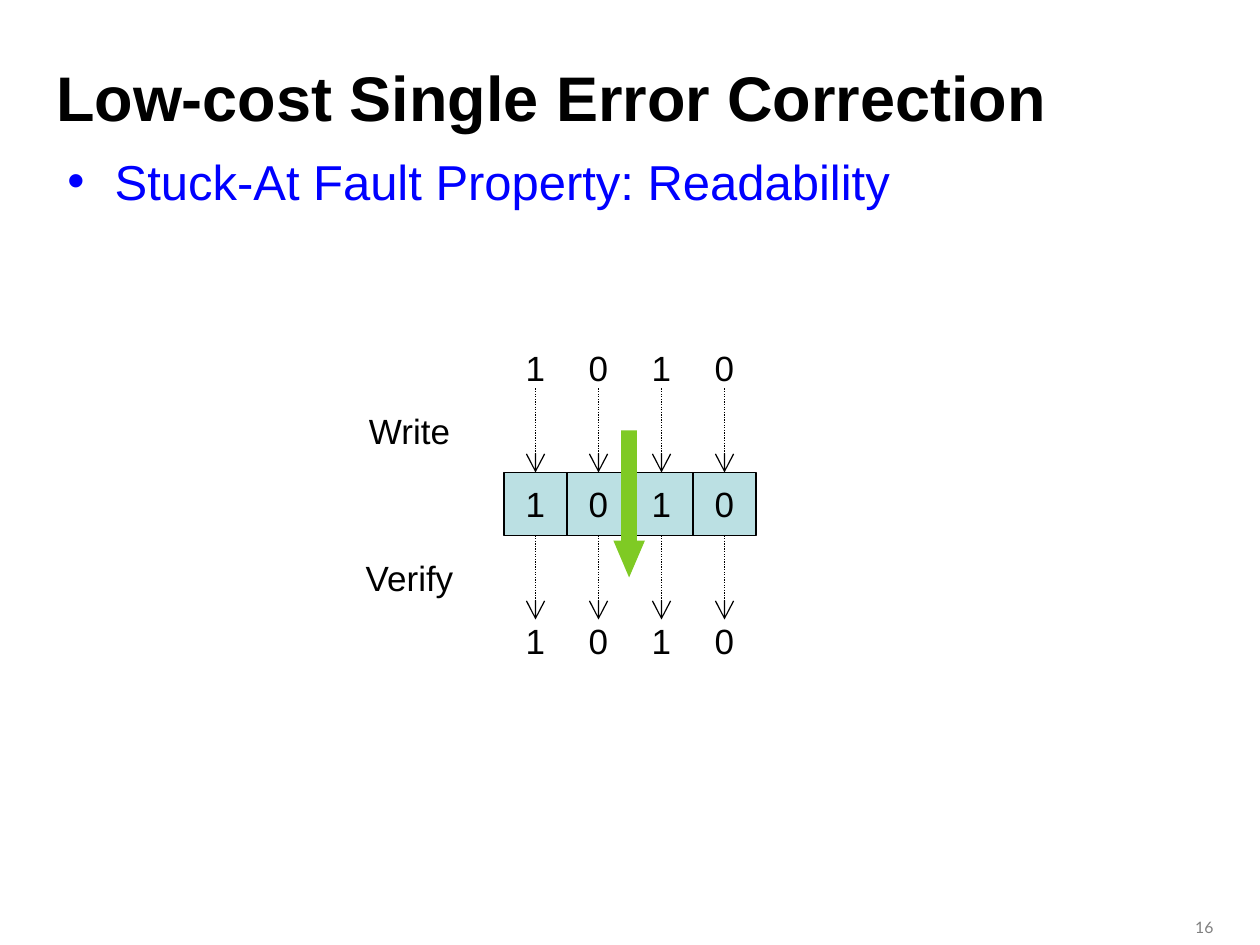
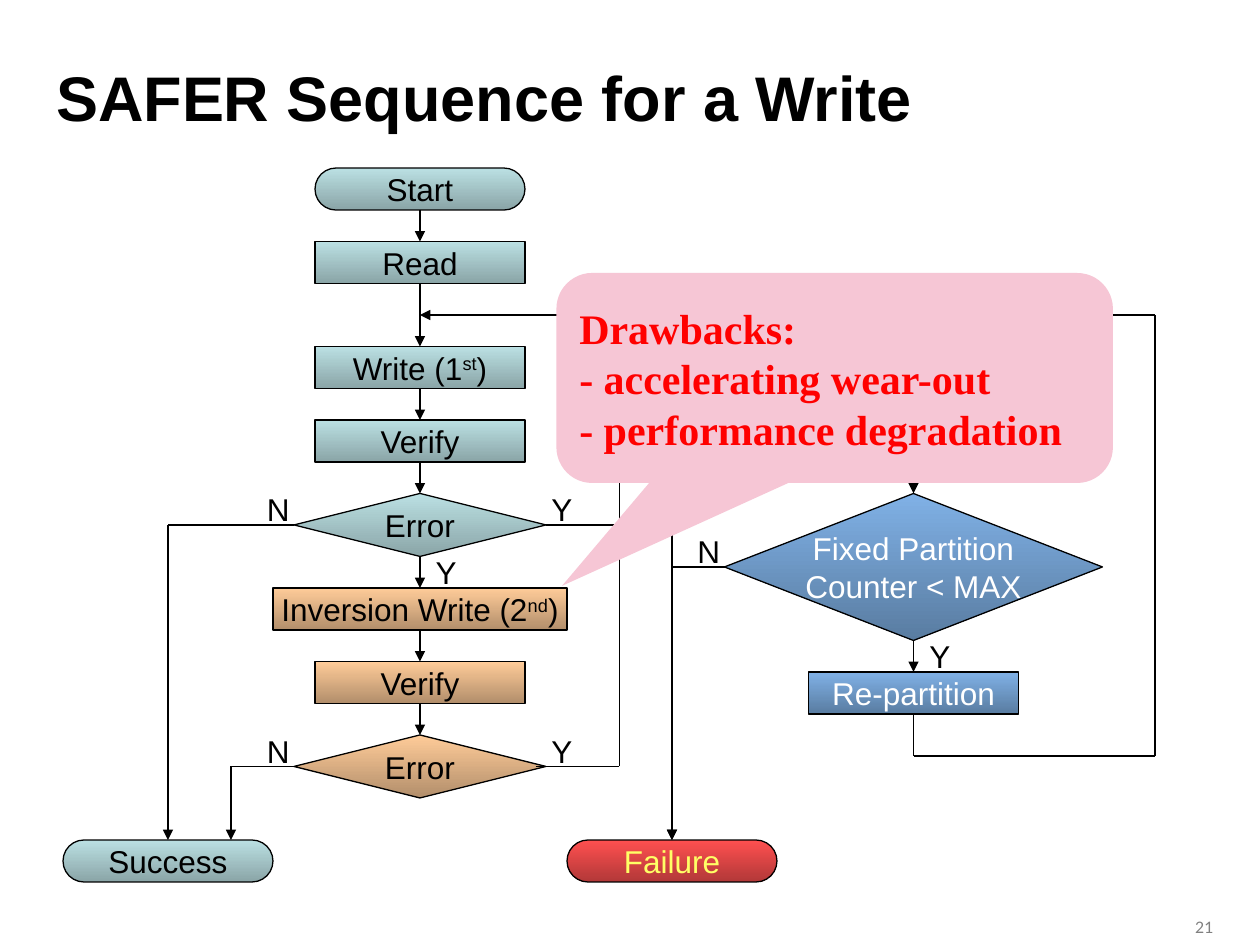
from itertools import pairwise

from lxml.etree import SubElement
from pptx import Presentation
from pptx.dml.color import RGBColor
from pptx.enum.dml import MSO_LINE
from pptx.enum.shapes import MSO_CONNECTOR, MSO_SHAPE
from pptx.enum.text import MSO_ANCHOR, PP_ALIGN
from pptx.oxml.ns import qn
from pptx.util import Pt

BLACK, CELL_TEAL, ARROW_GREEN = "000000", "BBE0E3", "7FCA24"
TEAL, ORANGE = ("BBE0E3", "8AA5A7"), ("FFCC99", "B28E6B")
BLUE, RED = ("80B1E6", "597CA1"), ("FF5050", "B23838")

TITLE = {"name": "Arial", "size": Pt(36), "bold": True, "color": BLACK}
BULLET = {"name": "Arial", "size": Pt(28), "color": "0000FF"}
BIT = {"name": "Arial", "size": Pt(20), "color": BLACK}
STEP = {"name": "Arial", "size": Pt(18), "color": BLACK}
STEP_ON_BLUE = STEP | {"color": "FFFFFF"}
STEP_ON_RED = STEP | {"color": "FFFF66"}
WARNING = {"name": "Times New Roman", "size": Pt(24), "bold": True, "color": "FF0000"}
PAGE = {"name": "Lato", "size": Pt(9), "color": "808080"}

CENTRED = {"word_wrap": False, "vertical_anchor": MSO_ANCHOR.MIDDLE}
TIGHT = CENTRED | dict.fromkeys(
    ("margin_left", "margin_right", "margin_top", "margin_bottom"), 0)
WRAPPED = {"word_wrap": True, "vertical_anchor": MSO_ANCHOR.TOP}
MIDDLE = WRAPPED | {"vertical_anchor": MSO_ANCHOR.MIDDLE}

OPEN_HEAD = {"type": "arrow", "w": "lg", "len": "lg"}
SOLID_HEAD = {"type": "triangle"}

# Slide 16: the same word on its way in, in the cells and on its way out
WORD = "1010"
BIT_SIZE, WORD_LEFT = 36, 288
WRITTEN_TOP, CELL_TOP, READ_TOP = 192, 270, 348
FAULT_ARROWS = [(222, 270), (306, 354)]
PHASES = [("Write", 228), ("Verify", 312)]

# Slide 21: lengths in points; ^ encloses superscript
AXIS = 240
PILL, BOX, DECISION = "pill", "box", "decision"
WRITE_STEPS = [  # text, kind, top, width, height, colours
    ("Start", PILL, 96, 120, 24, TEAL),
    ("Read", BOX, 138, 120, 24, TEAL),
    ("Write (1^st^)", BOX, 198, 120, 24, TEAL),
    ("Verify", BOX, 240, 120, 24, TEAL),
    ("Error", DECISION, 282, 144, 36, TEAL),
    ("Inversion Write (2^nd^)", BOX, 336, 168, 24, ORANGE),
    ("Verify", BOX, 378, 120, 24, ORANGE),
    ("Error", DECISION, 420, 144, 36, ORANGE),
]
PARTITION_AXIS = 522
PARTITION_STEPS = [
    ("Fixed Partition\nCounter < MAX", DECISION, 282, 216, 84, BLUE),
    ("Re-partition", BOX, 384, 120, 24, BLUE),
]
OUTCOMES = [  # axis, step, font
    (96, ("Success", PILL, 480, 120, 24, TEAL), STEP),
    (384, ("Failure", PILL, 480, 120, 24, RED), STEP_ON_RED),
]
ROUTES = [
    [(168, 300), (96, 300), (96, 480)],
    [(168, 438), (132, 438), (132, 480)],
    [(306, 438), (354, 438), (354, 264), (522, 264), (522, 282)],
    [(312, 300), (384, 300), (384, 480)],
    [(414, 324), (384, 324), (384, 480)],
    [(522, 408), (522, 432), (660, 432), (660, 180), (240, 180)],
]
ANSWERS = [("N", 150, 282), ("Y", 312, 282), ("Y", 246, 318), ("N", 150, 420),
           ("Y", 312, 420), ("N", 396, 306), ("Y", 528, 366)]
DRAWBACKS = "Drawbacks:\n- accelerating wear-out\n- performance degradation"


def rgb(color):
    return RGBColor.from_string(color)


def set_attributes(target, values):
    for attribute, value in values.items():
        setattr(target, attribute, value)


def write(shape, text, font, frame, align=PP_ALIGN.CENTER):
    set_attributes(shape.text_frame, frame)
    for number, line in enumerate(text.split("\n")):
        paragraphs = shape.text_frame.paragraphs
        paragraph = shape.text_frame.add_paragraph() if number else paragraphs[0]
        paragraph.alignment = align
        for part, piece in enumerate(line.split("^")):
            run = paragraph.add_run()
            run.text = piece
            set_attributes(run.font, {k: v for k, v in font.items() if k != "color"})
            run.font.color.rgb = rgb(font["color"])
            if part % 2:
                run.font._element.set("baseline", "30000")


def add_label(slide, box, text, font, frame=CENTRED, align=PP_ALIGN.CENTER):
    label = slide.shapes.add_textbox(*map(Pt, box))
    write(label, text, font, frame, align)
    return label


def add_filled(slide, preset, box, colors, outlined=True, adjustments=()):
    """Add a preset shape; two colours make a gradient from top to bottom."""
    shape = slide.shapes.add_shape(preset, *map(Pt, box))
    shape.shadow.inherit = False
    for number, value in enumerate(adjustments):
        shape.adjustments[number] = value
    if isinstance(colors, tuple):
        shape.fill.gradient()
        shape.fill.gradient_angle = 270
        for stop, color in zip(shape.fill.gradient_stops, colors):
            stop.color.rgb = rgb(color)
    else:
        shape.fill.solid()
        shape.fill.fore_color.rgb = rgb(colors)
    if outlined:
        shape.line.color.rgb = rgb(BLACK)
        shape.line.width = Pt(0.75)
    else:
        shape.line.fill.background()
    return shape


def add_line(slide, start, end, width=0.75, head=None, dash=None):
    line = slide.shapes.add_connector(MSO_CONNECTOR.STRAIGHT, *map(Pt, start + end))
    line.line.color.rgb = rgb(BLACK)
    line.line.width = Pt(width)
    if dash:
        line.line.dash_style = dash
    properties = line._element.spPr
    if head:
        SubElement(properties.find(qn("a:ln")), qn("a:tailEnd"), head)
    SubElement(properties, qn("a:effectLst"))


def add_route(slide, points):
    """Join the points with lines and end in an arrowhead."""
    for start, end in pairwise(points):
        last = end == points[-1]
        level = start[1] == end[1]
        add_line(slide, start, end, 1 if level and not last else 0.75,
                 SOLID_HEAD if last else None)


def add_step(slide, axis, step, font):
    text, kind, top, width, height, colors = step
    preset = MSO_SHAPE.DIAMOND if kind == DECISION else MSO_SHAPE.ROUNDED_RECTANGLE
    rounding = {PILL: [0.5], BOX: [0], DECISION: []}[kind]
    shape = add_filled(slide, preset, (axis - width / 2, top, width, height),
                       colors, adjustments=rounding)
    write(shape, text, font, CENTRED)


def add_sequence(slide, axis, steps, font):
    for step in steps:
        add_step(slide, axis, step, font)
    for (_, _, top, _, height, _), following in pairwise(steps):
        add_route(slide, [(axis, top + height), (axis, following[2])])


def add_titled_slide(deck, title, page):
    slide = deck.slides.add_slide(deck.slide_layouts[6])
    add_label(slide, (653, 521, 47.5, 12), page, PAGE, WRAPPED, PP_ALIGN.RIGHT)
    add_label(slide, (25, 25, 683, 60), title, TITLE, MIDDLE, PP_ALIGN.LEFT)
    return slide


def add_bullet(slide, text):
    label = add_label(slide, (31.5, 83, 657, 55), text, BULLET, WRAPPED, PP_ALIGN.LEFT)
    paragraph = label.text_frame.paragraphs[0]
    paragraph.space_before = Pt(5.6)
    properties = paragraph._p.get_or_add_pPr()
    properties.set("marL", str(Pt(27)))
    properties.set("indent", str(-Pt(27)))
    SubElement(properties, qn("a:buFont"), typeface="Arial")
    SubElement(properties, qn("a:buChar"), char="•")


def build_readability(deck):
    slide = add_titled_slide(deck, "Low-cost Single Error Correction", "16")
    add_bullet(slide, "Stuck-At Fault Property: Readability")
    for phase, top in PHASES:
        add_label(slide, (204, top, 60, BIT_SIZE), phase, BIT, TIGHT)
    for column, bit in enumerate(WORD):
        left = WORD_LEFT + column * BIT_SIZE
        for top in (WRITTEN_TOP, READ_TOP):
            add_label(slide, (left, top, BIT_SIZE, BIT_SIZE), bit, BIT)
        cell = add_filled(slide, MSO_SHAPE.RECTANGLE,
                          (left, CELL_TOP, BIT_SIZE, BIT_SIZE), CELL_TEAL)
        write(cell, bit, BIT, CENTRED)
        middle = left + BIT_SIZE / 2
        for top, bottom in FAULT_ARROWS:
            add_line(slide, (middle, top), (middle, bottom), head=OPEN_HEAD,
                     dash=MSO_LINE.ROUND_DOT)
    add_filled(slide, MSO_SHAPE.DOWN_ARROW, (350.5, 246, 18, 84), ARROW_GREEN,
               outlined=False, adjustments=(0.5, 1.17))


def build_write_sequence(deck):
    slide = add_titled_slide(deck, "SAFER Sequence for a Write", "21")
    add_sequence(slide, AXIS, WRITE_STEPS, STEP)
    add_sequence(slide, PARTITION_AXIS, PARTITION_STEPS, STEP_ON_BLUE)
    for axis, outcome, font in OUTCOMES:
        add_step(slide, axis, outcome, font)
    for route in ROUTES:
        add_route(slide, route)
    for answer, left, top in ANSWERS:
        add_label(slide, (left, top, 18, 18), answer, STEP, TIGHT)
    callout = add_filled(slide, MSO_SHAPE.ROUNDED_RECTANGULAR_CALLOUT,
                         (318, 156, 318, 120), "F6C6D5", outlined=False,
                         adjustments=(-0.49, 0.99, 0.17))
    write(callout, DRAWBACKS, WARNING, MIDDLE, PP_ALIGN.LEFT)


def main():
    deck = Presentation()
    deck.slide_width, deck.slide_height = Pt(720), Pt(540)
    build_readability(deck)
    build_write_sequence(deck)
    deck.save("out.pptx")


if __name__ == "__main__":
    main()
